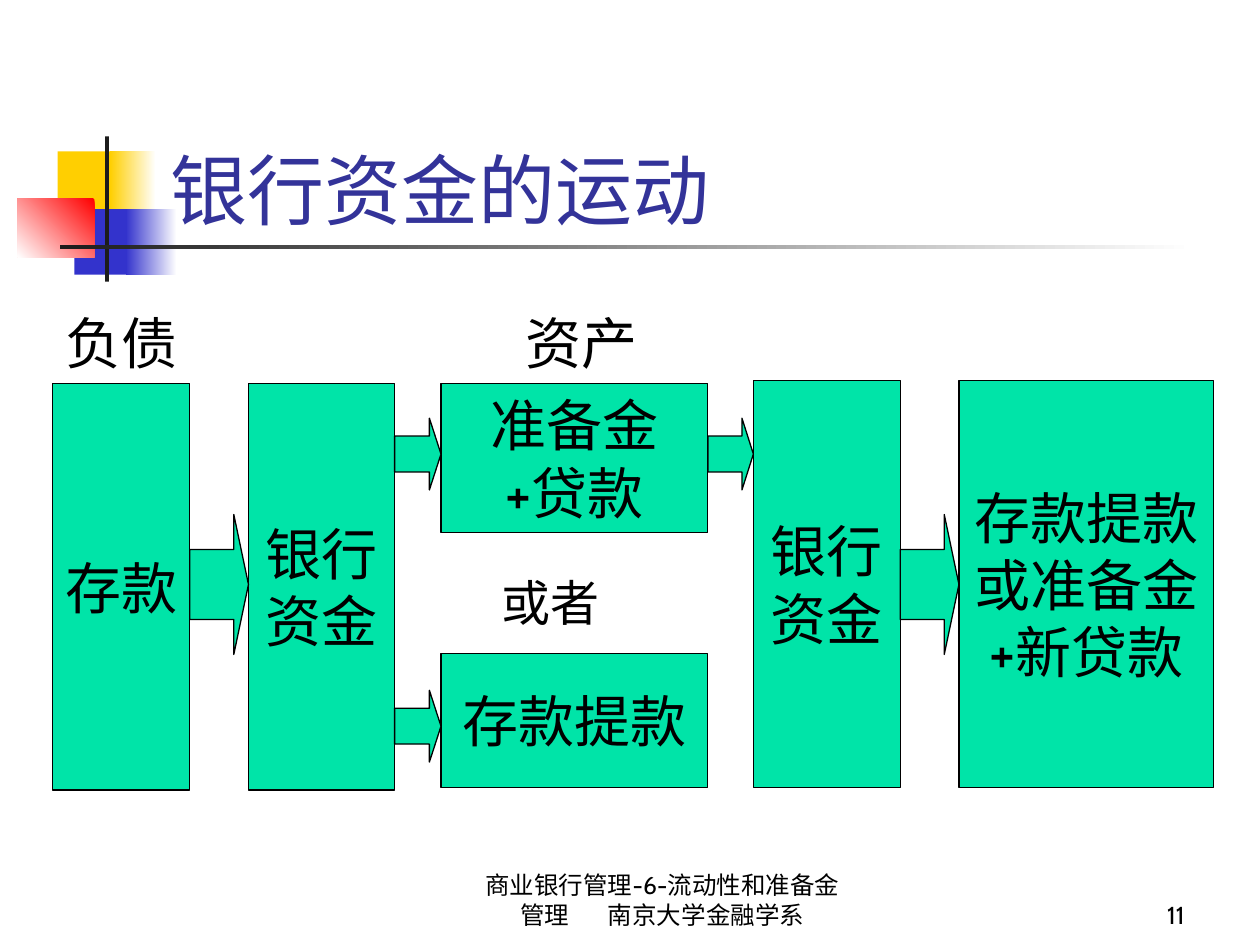
from dataclasses import dataclass

from lxml.etree import SubElement
from pptx import Presentation
from pptx.dml.color import RGBColor
from pptx.enum.shapes import MSO_SHAPE
from pptx.enum.text import MSO_ANCHOR, MSO_AUTO_SIZE, PP_ALIGN
from pptx.oxml.ns import qn
from pptx.util import Pt


@dataclass(frozen=True)
class Theme:
    font: str = "Cabin"
    white: str = "FFFFFF"
    black: str = "000000"
    yellow: str = "FFCF01"
    blue: str = "3333CC"
    red: str = "FF0000"
    charcoal: str = "1C1C1C"
    title: str = "333399"
    green: str = "00E4A8"
    title_size: float = 44
    body_size: float = 32
    label_size: float = 28
    footer_size: float = 14
    line_width: float = 0.75


THEME = Theme()

# Left and right edges of the five diagram columns
COLUMNS = {
    "deposits": (30, 108.5),
    "funds": (142, 225.5),
    "assets": (252, 404.5),
    "later funds": (430.5, 514.5),
    "uses": (548, 693.5),
}
LEFT_TOP, RIGHT_TOP, TALL = 219, 217.5, 232.5


def apply_format(target, values):
    for name, value in values.items():
        setattr(target, name, value)


def write_text(box, text, size, color=THEME.black, align=PP_ALIGN.CENTER,
               anchor=MSO_ANCHOR.MIDDLE):
    frame = box.text_frame
    apply_format(frame, {"word_wrap": True, "auto_size": MSO_AUTO_SIZE.NONE,
                         "vertical_anchor": anchor})
    para = frame.paragraphs[0]
    para.alignment = align
    span = para.add_run()
    span.text = text
    apply_format(span.font, {"size": Pt(size), "name": THEME.font})
    span.font.color.rgb = RGBColor.from_string(color)
    # East Asian characters follow the same font
    SubElement(span.font._element, qn("a:ea"), typeface=THEME.font)
    return para


def add_label(page, bounds, text, size, **layout):
    box = page.shapes.add_textbox(*map(Pt, bounds))
    return write_text(box, text, size, **layout)


def add_block(page, kind, bounds):
    shape = page.shapes.add_shape(kind, *map(Pt, bounds))
    shape.shadow.inherit = False
    return shape


def add_ornament(page, bounds, start, end=None, angle=180):
    shape = add_block(page, MSO_SHAPE.RECTANGLE, bounds)
    shape.line.fill.background()
    if end is None:
        shape.fill.solid()
        shape.fill.fore_color.rgb = RGBColor.from_string(start)
        return
    shape.fill.gradient()
    shape.fill.gradient_angle = angle
    for stop, position, color in zip(shape.fill.gradient_stops, (0, 1), (start, end)):
        stop.position = position
        stop.color.rgb = RGBColor.from_string(color)


def add_flow_shape(page, kind, bounds):
    shape = add_block(page, kind, bounds)
    shape.fill.solid()
    shape.fill.fore_color.rgb = RGBColor.from_string(THEME.green)
    shape.line.color.rgb = RGBColor.from_string(THEME.black)
    shape.line.width = Pt(THEME.line_width)
    return shape


def add_flow_box(page, column, top, height, text):
    left, right = COLUMNS[column]
    box = add_flow_shape(page, MSO_SHAPE.RECTANGLE, (left, top, right - left, height))
    write_text(box, text, THEME.body_size)


def add_flow_arrow(page, source, target, top, height):
    """Fill the gap between two columns with a block arrow."""
    left, right = COLUMNS[source][1], COLUMNS[target][0]
    gap = right - left
    arrow = add_flow_shape(page, MSO_SHAPE.RIGHT_ARROW, (left, top, gap, height))
    arrow.adjustments[0] = 0.5
    arrow.adjustments[1] = 0.25


def add_decoration(page):
    add_ornament(page, (33, 86.5, 34.5, 37.5), THEME.yellow)
    add_ornament(page, (63, 86.5, 26, 37.5), THEME.white, THEME.yellow)
    add_ornament(page, (42.5, 119.5, 33, 37.5), THEME.blue)
    add_ornament(page, (72, 119.5, 29, 37.5), THEME.white, THEME.blue)
    add_ornament(page, (10, 113.5, 44, 33.5), THEME.red, THEME.white, angle=225)
    add_ornament(page, (60, 78, 2.25, 83), THEME.charcoal)
    add_ornament(page, (34.5, 140, 648, 2.5), THEME.white, THEME.charcoal)


def add_title(page, text):
    title = page.shapes.title
    bounds = {"left": 90.5, "top": 48, "width": 613.5, "height": 90}
    apply_format(title, {name: Pt(value) for name, value in bounds.items()})
    write_text(title, text, THEME.title_size, THEME.title,
               PP_ALIGN.LEFT, MSO_ANCHOR.BOTTOM)


def add_flow(page):
    for column, top, height, text in (
        ("deposits", LEFT_TOP, TALL, "存款"),
        ("funds", LEFT_TOP, TALL, "银行资金"),
        ("assets", LEFT_TOP, 85.5, "准备金+贷款"),
        ("assets", 373.5, 76.5, "存款提款"),
        ("later funds", RIGHT_TOP, TALL, "银行资金"),
        ("uses", RIGHT_TOP, TALL, "存款提款或准备金+新贷款"),
    ):
        add_flow_box(page, column, top, height, text)

    for source, target, top, height in (
        ("deposits", "funds", 294, 80),
        ("funds", "assets", 239, 41),
        ("funds", "assets", 394.5, 41),
        ("assets", "later funds", 239, 41),
        ("later funds", "uses", 294, 80),
    ):
        add_flow_arrow(page, source, target, top, height)

    # Column headings and the alternative between the asset boxes
    for bounds, text, size, align in (
        ((30, 173, 78.5, 50), "负债", THEME.body_size, PP_ALIGN.CENTER),
        ((279.5, 173, 106, 50), "资产", THEME.body_size, PP_ALIGN.CENTER),
        ((279.5, 323.5, 72, 41), "或者", THEME.label_size, PP_ALIGN.LEFT),
    ):
        add_label(page, bounds, text, size, align=align, anchor=MSO_ANCHOR.TOP)


def add_footer(page):
    para = add_label(page, (264.5, 498.5, 228, 36),
                     "商业银行管理-6-流动性和准备金管理\t南京大学金融学系",
                     THEME.footer_size, anchor=MSO_ANCHOR.BOTTOM)
    # The tab stop sets the institution apart on the second line
    tabs = SubElement(para._p.get_or_add_pPr(), qn("a:tabLst"))
    SubElement(tabs, qn("a:tab"), pos=str(Pt(50)), algn="l")
    add_label(page, (534, 498.5, 150, 36), "11", THEME.footer_size,
              align=PP_ALIGN.RIGHT, anchor=MSO_ANCHOR.BOTTOM)


def main():
    deck = Presentation()
    deck.slide_width, deck.slide_height = Pt(720), Pt(540)
    page = deck.slides.add_slide(deck.slide_layouts[5])
    add_decoration(page)
    add_title(page, "银行资金的运动")
    add_flow(page)
    add_footer(page)
    deck.save("out.pptx")


if __name__ == "__main__":
    main()
